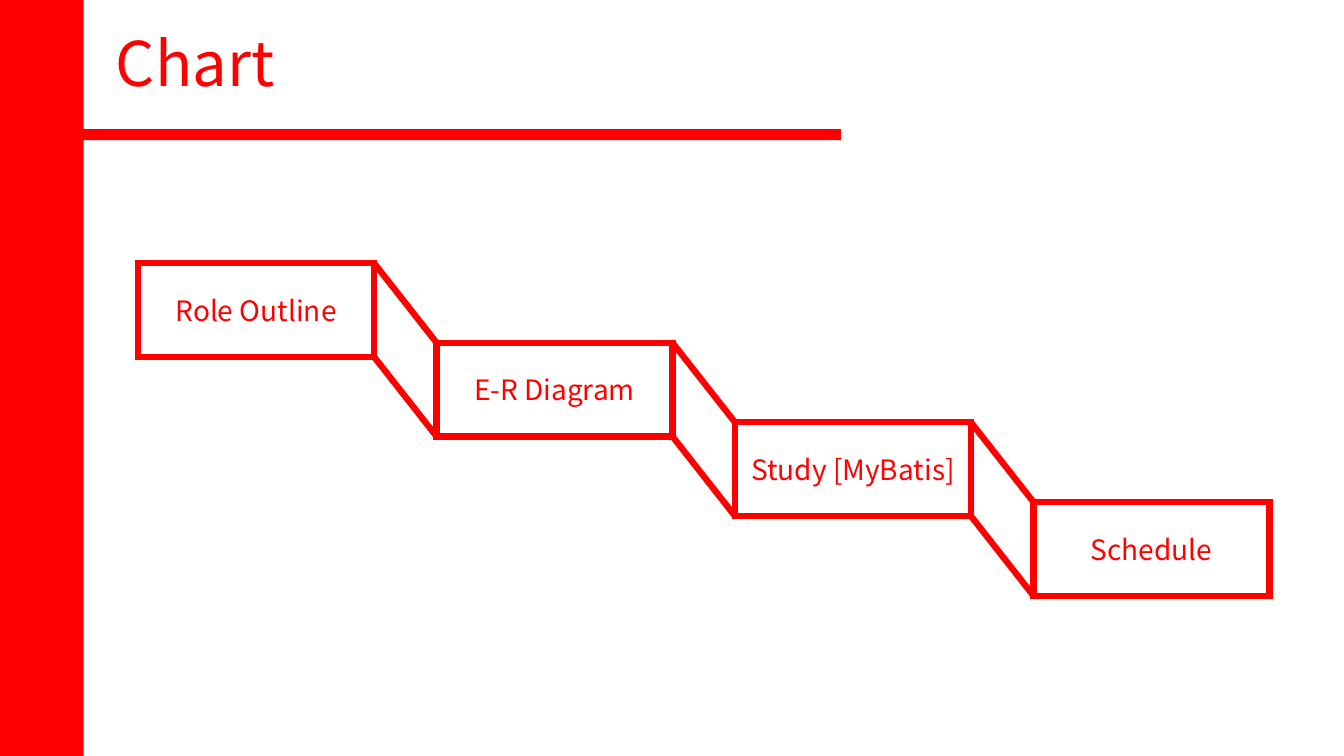
from dataclasses import dataclass
from itertools import pairwise

from pptx import Presentation
from pptx.dml.color import RGBColor
from pptx.enum.shapes import MSO_CONNECTOR as Connector, MSO_SHAPE as Shape
from pptx.enum.text import MSO_ANCHOR as Anchor, MSO_AUTO_SIZE as AutoSize, PP_ALIGN as Align
from pptx.oxml.ns import qn
from pptx.slide import Slide
from pptx.text.text import TextFrame
from pptx.util import Inches, Pt
from lxml.etree import SubElement


@dataclass(frozen=True)
class Theme:
    red: RGBColor = RGBColor(0xFF, 0x00, 0x00)
    white: RGBColor = RGBColor(0xFF, 0xFF, 0xFF)
    font: str = "Noto Sans CJK KR"
    title_size: int = 44
    step_size: int = 20
    outline: float = 4.5


@dataclass(frozen=True)
class Box:
    left: float
    top: float
    width: float
    height: float

    @property
    def right(self) -> float:
        return self.left + self.width

    @property
    def bottom(self) -> float:
        return self.top + self.height

    def emu(self) -> tuple[int, ...]:
        return tuple(Inches(n) for n in (self.left, self.top, self.width, self.height))


@dataclass(frozen=True)
class Step:
    label: str
    box: Box


THEME = Theme()
LABELS = ("Role Outline", "E-R Diagram", "Study [MyBatis]", "Schedule")
FIRST = Box(1.37, 2.61, 2.34, 0.93)
STEP_RIGHT, STEP_DOWN = 2.96, 0.79
SIDEBAR = Box(0, 0, 0.83, 7.5)
TITLE_RULE = Box(0.77, 1.28, 7.57, 0.11)
TITLE = Box(1.05, 0.2, 1.78, 0.84)


def write(frame: TextFrame, text: str, size: int) -> None:
    run = frame.paragraphs[0].add_run()
    run.text = text
    for name, value in {"name": THEME.font, "size": Pt(size)}.items():
        setattr(run.font, name, value)
    run.font.color.rgb = THEME.red


def add_bar(slide: Slide, box: Box) -> None:
    bar = slide.shapes.add_shape(Shape.RECTANGLE, *box.emu())
    bar.shadow.inherit = False
    bar.fill.solid()
    bar.fill.fore_color.rgb = THEME.red
    bar.line.fill.background()


def add_title(slide: Slide, text: str) -> None:
    frame = slide.shapes.add_textbox(*TITLE.emu()).text_frame
    for name, value in {"word_wrap": False, "auto_size": AutoSize.SHAPE_TO_FIT_TEXT}.items():
        setattr(frame, name, value)
    write(frame, text, THEME.title_size)


def add_step(slide: Slide, step: Step) -> None:
    panel = slide.shapes.add_shape(Shape.ROUNDED_RECTANGLE, *step.box.emu())
    panel.adjustments[0] = 0
    panel.shadow.inherit = False
    panel.fill.solid()
    panel.fill.fore_color.rgb = THEME.white
    panel.line.color.rgb = THEME.red
    panel.line.width = Pt(THEME.outline)
    # Sharp corners on the outline
    SubElement(panel.line._get_or_add_ln(), qn("a:miter"), lim="800000")
    frame = panel.text_frame
    for name, value in {"word_wrap": True, "vertical_anchor": Anchor.MIDDLE}.items():
        setattr(frame, name, value)
    frame.paragraphs[0].alignment = Align.CENTER
    write(frame, step.label, THEME.step_size)


def add_fold(slide: Slide, x1: float, y1: float, x2: float, y2: float) -> None:
    fold = slide.shapes.add_connector(
        Connector.STRAIGHT, *(Inches(n) for n in (x1, y1, x2, y2)))
    fold.line.color.rgb = THEME.red
    fold.line.width = Pt(THEME.outline)
    SubElement(fold._element.spPr, qn("a:effectLst"))


def main() -> None:
    deck = Presentation()
    deck.slide_width, deck.slide_height = Inches(13.33), Inches(7.5)
    slide = deck.slides.add_slide(deck.slide_layouts[6])

    # Sidebar and heading
    add_bar(slide, SIDEBAR)
    add_bar(slide, TITLE_RULE)
    add_title(slide, "Chart")

    # Descending steps
    steps = [
        Step(label, Box(FIRST.left + i * STEP_RIGHT, FIRST.top + i * STEP_DOWN,
                        FIRST.width, FIRST.height))
        for i, label in enumerate(LABELS)
    ]
    for step in steps:
        add_step(slide, step)

    # Folds joining each step to the next
    for upper, lower in pairwise(step.box for step in steps):
        add_fold(slide, upper.right, upper.top, lower.left, lower.top)
        add_fold(slide, upper.right, upper.bottom, lower.left, lower.bottom)

    deck.save("out.pptx")


if __name__ == "__main__":
    main()
